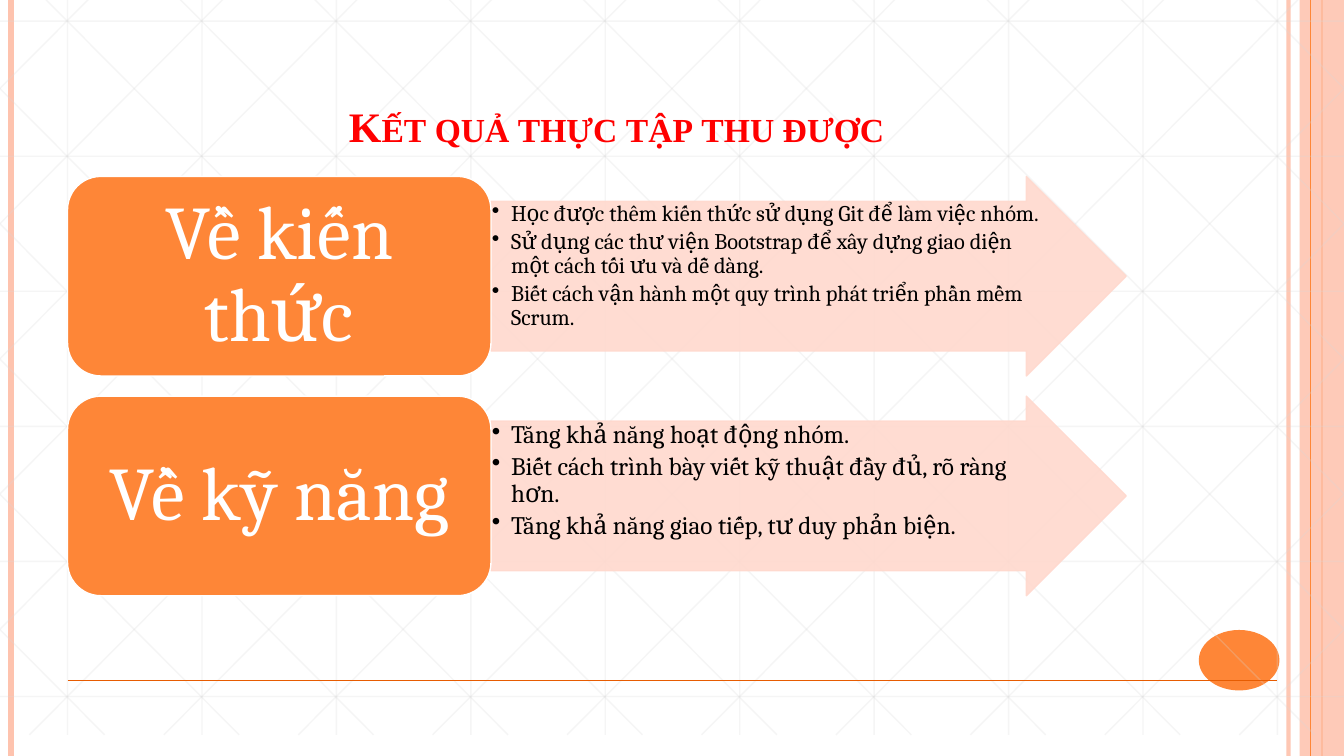
from dataclasses import dataclass

from lxml.etree import SubElement
from pptx import Presentation
from pptx.dml.color import RGBColor
from pptx.enum.shapes import MSO_CONNECTOR, MSO_SHAPE
from pptx.enum.text import MSO_ANCHOR, PP_ALIGN
from pptx.oxml.ns import qn
from pptx.util import Inches, Pt

SLIDE_WIDTH, SLIDE_HEIGHT = 13.33, 7.5


@dataclass(frozen=True)
class Theme:
    orange: str = "FE8637"
    peach: str = "FEC3AE"
    pale_peach: str = "FFD9CE"
    grid: str = "D9D9D9"
    rule: str = "E75C01"
    red: str = "FF0000"
    white: str = "FFFFFF"
    black: str = "000000"
    title_font: str = "Times New Roman"
    body_font: str = "Cambria"
    title_size: int = 30
    heading_size: int = 54


THEME = Theme()


def paint(fill, color, opacity=100):
    fill.solid()
    fill.fore_color.rgb = RGBColor.from_string(color)
    if opacity < 100:
        srgb = fill._xPr.find(".//" + qn("a:srgbClr"))
        SubElement(srgb, qn("a:alpha"), val=str(opacity * 1000))


def add_line(slide, start, end, color, width, opacity=100):
    points = [Inches(length) for length in (*start, *end)]
    line = slide.shapes.add_connector(MSO_CONNECTOR.STRAIGHT, *points)
    paint(line.line.fill, color, opacity)
    line.line.width = Pt(width)
    SubElement(line._element.spPr, qn("a:effectLst"))
    return line


def add_block(slide, preset, box, color, opacity=100, outline=None):
    block = slide.shapes.add_shape(preset, *map(Inches, box))
    block.shadow.inherit = False
    paint(block.fill, color, opacity)
    if outline:
        paint(block.line.fill, outline, opacity)
        block.line.width = Pt(1)
    else:
        block.line.fill.background()
    return block


def set_font(paragraph, name, size, color):
    paragraph.font.name = name
    paragraph.font.size = Pt(size)
    paragraph.font.color.rgb = RGBColor.from_string(color)


def set_frame(frame, anchor, side_inset, end_inset):
    frame.word_wrap = True
    frame.vertical_anchor = anchor
    frame.margin_left = frame.margin_right = Inches(side_inset)
    frame.margin_top = frame.margin_bottom = Inches(end_inset)


def add_borders(slide, box):
    left, top, width, height = box
    right, bottom = left + width, top + height

    def upright(x, color, weight, opacity=100):
        return add_line(slide, (x, top), (x, bottom), color, weight, opacity)

    upright(right - 0.55, THEME.peach, 3, 93)
    upright(left + 0.11, THEME.peach, 4.5)
    band_axis = upright(right - 0.22, THEME.orange, 1.5)
    band = add_block(slide, MSO_SHAPE.RECTANGLE, (right - 0.44, top, 0.44, height), THEME.peach, 87)
    band_axis.begin_connect(band, 0)
    band_axis.end_connect(band, 2)
    upright(right - 0.33, THEME.orange, 0.75)
    add_block(slide, MSO_SHAPE.OVAL, (right - 1.44, bottom - 1.25, 0.8, 0.6), THEME.orange)


def add_grid(slide, box):
    left, top, width, height = box
    right, bottom = left + width, top + height
    column_gap, row_gap = 4 / 3, 1.34
    slope = height / 7.455

    def grid_line(start, end):
        add_line(slide, start, end, THEME.grid, 1, 25)

    for column in range(10):
        x = left + 0.67 + column * column_gap
        grid_line((x, top), (x, bottom))
    for row in range(6):
        y = top + 0.42 + row * row_gap
        grid_line((left, y), (right, y))
    for step in range(-5, 10):
        x = left + 0.25 + step * column_gap
        x_start = max(x, left)
        x_end = min(x + height / slope, right)
        y_start = top + (x_start - x) * slope
        y_end = top + (x_end - x) * slope
        grid_line((x_start, y_start), (x_end, y_end))
        grid_line((left + right - x_start, y_start), (left + right - x_end, y_end))


def add_title(slide, box, text):
    title = slide.shapes.add_textbox(*map(Inches, box))
    set_frame(title.text_frame, MSO_ANCHOR.BOTTOM, 0.1, 0.05)
    paragraph = title.text_frame.paragraphs[0]
    paragraph.text = text
    paragraph.alignment = PP_ALIGN.CENTER
    set_font(paragraph, THEME.title_font, THEME.title_size, THEME.red)
    paragraph.font.bold = True
    paragraph.font._element.set("cap", "small")


def add_result(slide, box, heading, points, size):
    left, top, width, height = box
    heading_width = width * 0.4

    arrow_box = (left + heading_width, top, width - heading_width, height)
    arrow = add_block(slide, MSO_SHAPE.RIGHT_ARROW, arrow_box, THEME.pale_peach, 90, THEME.pale_peach)
    arrow.adjustments[0] = 0.75
    arrow.adjustments[1] = 0.5
    frame = arrow.text_frame
    set_frame(frame, MSO_ANCHOR.TOP, 0.01, 0.01)
    frame.text = "\n".join(points)
    for paragraph in frame.paragraphs:
        paragraph.level = 1
        paragraph.alignment = PP_ALIGN.LEFT
        paragraph.line_spacing = 0.9
        paragraph.space_after = Pt(round(size * 0.17, 1))
        properties = paragraph._p.get_or_add_pPr()
        properties.set("marL", str(Inches(0.19)))
        properties.set("indent", str(Inches(-0.19)))
        SubElement(properties, qn("a:buChar"), char="•")
        set_font(paragraph, THEME.body_font, size, THEME.black)

    heading_box = (left, top, heading_width, height)
    label = add_block(slide, MSO_SHAPE.ROUNDED_RECTANGLE, heading_box, THEME.orange, outline=THEME.white)
    set_frame(label.text_frame, MSO_ANCHOR.MIDDLE, 0.23, 0.11)
    paragraph = label.text_frame.paragraphs[0]
    paragraph.text = heading
    paragraph.alignment = PP_ALIGN.CENTER
    paragraph.line_spacing = 0.9
    set_font(paragraph, THEME.body_font, THEME.heading_size, THEME.white)


def main():
    presentation = Presentation()
    presentation.slide_width = Inches(SLIDE_WIDTH)
    presentation.slide_height = Inches(SLIDE_HEIGHT)
    slide = presentation.slides.add_slide(presentation.slide_layouts[6])

    add_borders(slide, (0, 0, SLIDE_WIDTH, SLIDE_HEIGHT))
    add_grid(slide, (0, -0.21, SLIDE_WIDTH, 7.5))
    add_line(slide, (0.67, 6.75), (12.67, 6.75), THEME.rule, 1)
    add_title(slide, (0.67, 0.3, 10.89, 1.25), "Kết quả thực tập thu được")

    results = [
        ("Về kiến thức", [
            "Học được thêm kiến thức sử dụng Git để làm việc nhóm.",
            "Sử dụng các thư viện Bootstrap để xây dựng giao diện một cách tối ưu và dễ dàng.",
            "Biết cách vận hành một quy trình phát triển phần mềm Scrum.",
        ], 16),
        ("Về kỹ năng", [
            "Tăng khả năng hoạt động nhóm.",
            "Biết cách trình bày viết kỹ thuật đầy đủ, rõ ràng hơn.",
            "Tăng khả năng giao tiếp, tư duy phản biện.",
        ], 18),
    ]
    for row, (heading, points, size) in enumerate(results):
        add_result(slide, (0.67, 1.75 + row * 2.18, 10.5, 1.98), heading, points, size)

    presentation.save("out.pptx")


if __name__ == "__main__":
    main()
